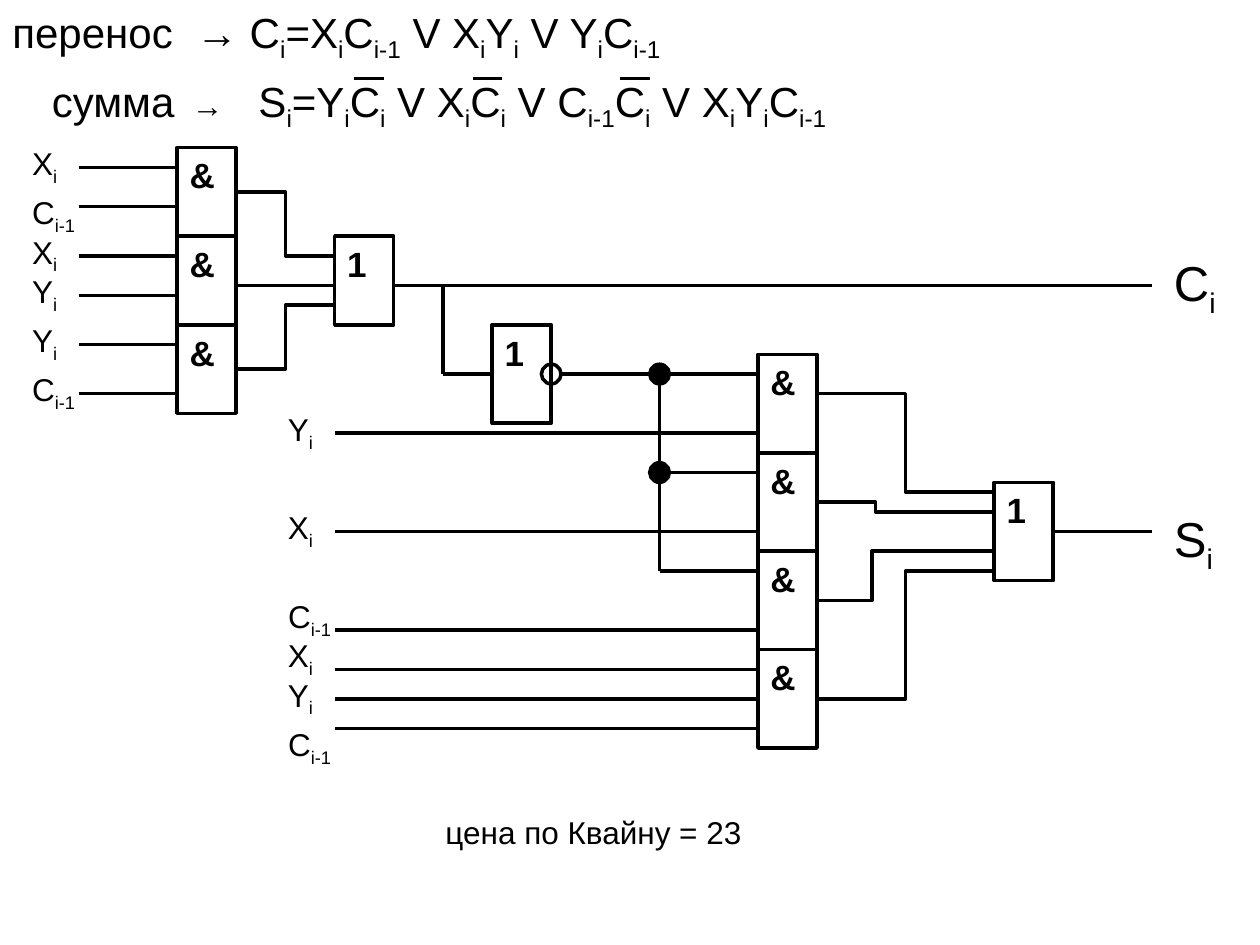
import pptx
import pptx.util
import pptx.dml.color
import pptx.enum.shapes
import pptx.enum.text
import pptx.oxml.ns
import lxml.etree

BLACK = pptx.dml.color.RGBColor(0, 0, 0)
COLS = 128
WIDTH = pptx.util.Inches(10)
HEIGHT = pptx.util.Inches(7.5)
KINDS = pptx.enum.shapes.MSO_SHAPE
LINKS = pptx.enum.shapes.MSO_CONNECTOR
LEFT, RIGHT = 1, 3
ROWS_BY_SIZE = {18: 5.1, 20: 5.6, 24: 6.4, 28: 7.3}


def cell(count):
    return pptx.util.Emu(round(count * WIDTH / COLS))


def write(frame, text, size=18, bold=False, tail="", tail_size=18):
    """Parts between underscores become subscripts."""
    line = frame.paragraphs[0]
    parts = [(part, size, odd % 2) for odd, part in enumerate(text.split("_"))]
    if tail:
        parts.append((tail, tail_size, False))
    for part, points, sub in parts:
        if not part:
            continue
        run = line.add_run()
        run.text = part
        run.font.name = "Arial"
        run.font.size = pptx.util.Pt(points)
        run.font.bold = bold
        run.font.color.rgb = BLACK
        if sub:
            run.font._element.set("baseline", "-25000")


class Sheet:
    def __init__(self, slide, weight=2):
        self.shapes = slide.shapes
        self.weight = pptx.util.Pt(weight)

    def ink(self, line):
        line.color.rgb = BLACK
        line.width = self.weight

    def text(self, x, y, width, text, size=18, **style):
        box = self.shapes.add_textbox(cell(x), cell(y), cell(width), cell(ROWS_BY_SIZE[size]))
        box.text_frame.word_wrap = False
        box.text_frame.auto_size = pptx.enum.text.MSO_AUTO_SIZE.SHAPE_TO_FIT_TEXT
        write(box.text_frame, text, size=size, **style)

    def shape(self, kind, x, y, width, height, solid=False):
        shape = self.shapes.add_shape(kind, cell(x), cell(y), cell(width), cell(height))
        shape.shadow.inherit = False
        if solid:
            shape.fill.solid()
            shape.fill.fore_color.rgb = BLACK
        else:
            shape.fill.background()
        self.ink(shape.line)
        return shape

    def gate(self, x, y, height, sign):
        box = self.shape(KINDS.RECTANGLE, x, y, 6, height)
        self.text(x, y, 5.2 if sign == "&" else 4.6, sign, size=20, bold=True)
        return box

    def dot(self, x, y, solid=True):
        self.shape(KINDS.OVAL, x - 1, y - 1, 2, 2, solid)

    def wire(self, x1, y1, x2, y2, source=None, target=None, bend=None):
        kind = LINKS.STRAIGHT if bend is None else LINKS.ELBOW
        wire = self.shapes.add_connector(kind, cell(x1), cell(y1), cell(x2), cell(y2))
        if source is not None:
            wire.begin_connect(source, RIGHT)
        if target is not None:
            wire.end_connect(target, LEFT)
        self.ink(wire.line)
        props = wire._element.spPr
        lxml.etree.SubElement(props, pptx.oxml.ns.qn("a:effectLst"))
        if bend is not None:
            form = props.find(pptx.oxml.ns.qn("a:prstGeom"))
            marks = form.find(pptx.oxml.ns.qn("a:avLst"))
            guide = lxml.etree.SubElement(marks, pptx.oxml.ns.qn("a:gd"))
            guide.set("name", "adj1")
            guide.set("fmla", f"val {round(bend * 100000)}")

    def label(self, x, y, text):
        self.text(x, y, 7.3 if "-" in text else 5.2, text)


def heads(sheet):
    sheet.text(0, 0, 69.8, "перенос  → C_i_=X_i_C_i-1_ V X_i_Y_i_ V Y_i_C_i-1_", size=24)
    sheet.text(4, 7, 20.1, "сумма", size=24, tail="  →")
    sheet.text(25, 7, 62.1, "S_i_=Y_i_C_i_ V X_i_C_i_ V C_i-1_C_i_ V X_i_Y_i_C_i-1_", size=24)
    for x in (36, 48, 63):
        sheet.wire(x, 8, x + 3, 8)
    sheet.text(44, 82, 33, "цена по Квайну = 23")


def carry(sheet):
    ands = [sheet.gate(18, 15 + 9 * row, 9, "&") for row in range(3)]
    sheet.gate(34, 24, 9, "1")
    inputs = [("X_i_", 14, 17), ("C_i-1_", 19, 21), ("X_i_", 23, 26),
              ("Y_i_", 27, 30), ("Y_i_", 32, 35), ("C_i-1_", 37, 40)]
    for name, top, y in inputs:
        sheet.label(2, top, name)
        sheet.wire(8, y, 18, y)
    sheet.wire(24, 19.5, 34, 26, source=ands[0], bend=0.5)
    sheet.wire(24, 29, 34, 29)
    sheet.wire(24, 37.5, 34, 31, source=ands[2], bend=0.5)
    sheet.wire(40, 29, 117, 29)
    sheet.text(118, 25, 6.9, "C_i_", size=28)


def invert(sheet):
    gate = sheet.gate(50, 33, 10, "1")
    sheet.wire(45, 29, 45, 38)
    sheet.wire(45, 38, 50, 38, target=gate)
    sheet.dot(56, 38, solid=False)
    sheet.wire(57, 38, 77, 38)
    sheet.wire(67, 38, 67, 58)
    for y in (48, 58):
        sheet.wire(67, y, 77, y)
    for y in (38, 48):
        sheet.dot(67, y)


def total(sheet):
    ands = [sheet.gate(77, 36 + 10 * row, 10, "&") for row in range(4)]
    final = sheet.gate(101, 49, 10, "1")
    inputs = [("Y_i_", 41, 44, None), ("X_i_", 51, 54, None), ("C_i-1_", 60, 64, None),
              ("X_i_", 64, 68, None), ("Y_i_", 68, 71, ands[3]), ("C_i-1_", 73, 74, None)]
    for name, top, y, target in inputs:
        sheet.label(28, top, name)
        sheet.wire(34, y, 77, y, target=target)
    links = [(40, 50, None, 0.5), (51, 52, ands[1], 0.33),
             (61, 56, ands[2], 0.31), (71, 58, ands[3], 0.5)]
    for start, end, source, bend in links:
        sheet.wire(83, start, 101, end, source=source, bend=bend)
    sheet.wire(107, 54, 117, 54, source=final)
    sheet.text(118, 51, 6.7, "S_i_", size=28)


def main():
    deck = pptx.Presentation()
    deck.slide_width = WIDTH
    deck.slide_height = HEIGHT
    sheet = Sheet(deck.slides.add_slide(deck.slide_layouts[6]))
    heads(sheet)
    carry(sheet)
    invert(sheet)
    total(sheet)
    deck.save("out.pptx")


if __name__ == "__main__":
    main()
